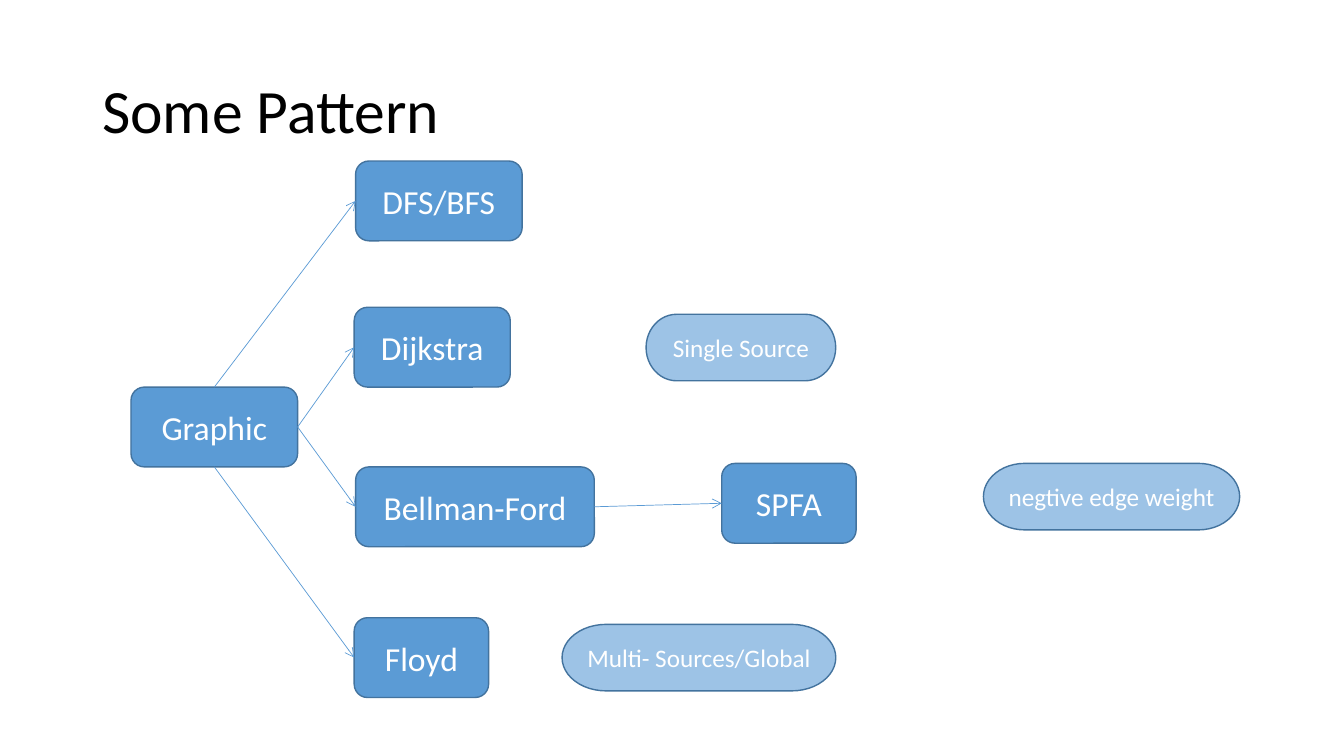
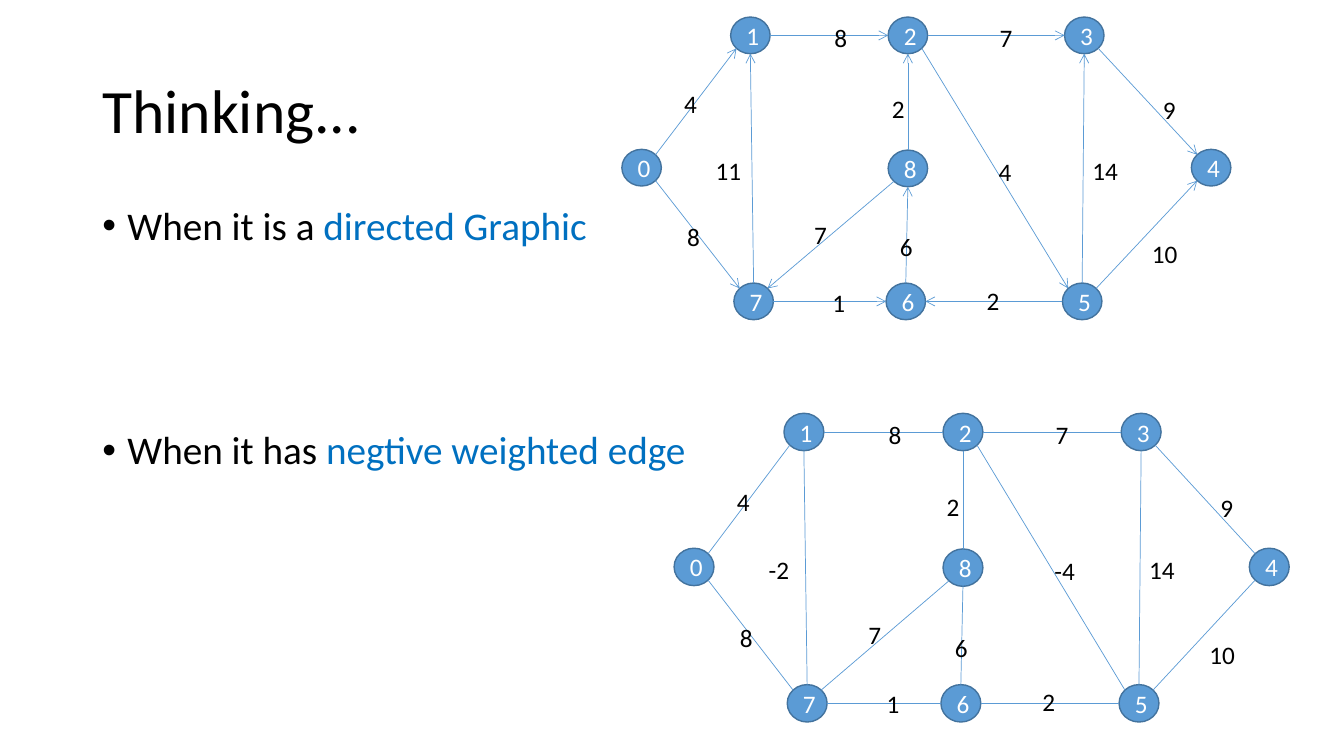
from dataclasses import dataclass
from math import sqrt

from lxml import etree
from pptx import Presentation
from pptx.dml.color import RGBColor
from pptx.enum.shapes import MSO_CONNECTOR, MSO_SHAPE
from pptx.enum.text import MSO_ANCHOR, PP_ALIGN
from pptx.oxml.ns import qn
from pptx.util import Pt


@dataclass(frozen=True)
class Theme:
    font: str = "Calibri"
    ink: str = "000000"
    white: str = "FFFFFF"
    blue: str = "5B9BD5"
    pale: str = "9DC3E6"
    outline: str = "43739E"
    accent: str = "0070C0"
    title: int = 44
    body: int = 28
    box: int = 24
    small: int = 18


T = Theme()
TITLE_BOX = (66, 28.8, 828, 104.4)


def add_text(s, text, box, kind=None, size=T.small, color=T.ink, fill=T.blue,
             anchor=MSO_ANCHOR.TOP, spacing=None):
    """Add a text box, or a filled shape of the given kind.

    text is a string, or a list of paragraphs made of (words, color) runs.
    """
    box = [Pt(v) for v in box]
    if kind is None:
        sp = s.shapes.add_textbox(*box)
    else:
        sp = s.shapes.add_shape(kind, *box)
        sp.shadow.inherit = False
        sp.fill.solid()
        sp.fill.fore_color.rgb = RGBColor.from_string(fill)
        sp.line.color.rgb = RGBColor.from_string(T.outline)
        sp.line.width = Pt(1)
        color, anchor = T.white, MSO_ANCHOR.MIDDLE
    tf = sp.text_frame
    tf.word_wrap = True
    tf.vertical_anchor = anchor
    paragraphs = [[(text, color)]] if isinstance(text, str) else text
    for i, runs in enumerate(paragraphs):
        p = tf.add_paragraph() if i else tf.paragraphs[0]
        p.alignment = PP_ALIGN.CENTER if kind else PP_ALIGN.LEFT
        p.line_spacing = spacing
        for words, run_color in runs:
            r = p.add_run()
            r.text = words
            r.font.name = T.font
            r.font.size = Pt(size)
            r.font.color.rgb = RGBColor.from_string(run_color)
    return sp


def add_line(s, start=(0, 0), end=(0, 0), arrow=True):
    points = [Pt(v) for v in (*start, *end)]
    line = s.shapes.add_connector(MSO_CONNECTOR.STRAIGHT, *points)
    line.line.color.rgb = RGBColor.from_string(T.blue)
    line.line.width = Pt(0.5)
    spPr = line.element.spPr
    if arrow:
        etree.SubElement(spPr.find(qn("a:ln")), qn("a:tailEnd"), type="arrow")
    etree.SubElement(spPr, qn("a:effectLst"))
    return line


prs = Presentation()
prs.slide_width, prs.slide_height = Pt(960), Pt(540)
slides = []
for title in ("Some Pattern", "Thinking..."):
    s = prs.slides.add_slide(prs.slide_layouts[6])
    add_text(s, title, TITLE_BOX, size=T.title, anchor=MSO_ANCHOR.MIDDLE, spacing=0.9)
    slides.append(s)
pattern, thinking = slides

# Slide 1: map of algorithms
ALGORITHMS = [  # name, left, top, width
    ("Graphic", 93.6, 276.5, 119),
    ("DFS/BFS", 254, 115, 119),
    ("Dijkstra", 253, 219.5, 111.5),
    ("Bellman-Ford", 254, 333.5, 170.5),
    ("Floyd", 253, 441.2, 96),
    ("SPFA", 515.5, 331, 96),
]
boxes = {}
for name, x, y, w in ALGORITHMS:
    boxes[name] = add_text(pattern, name, (x, y, w, 57), MSO_SHAPE.ROUNDED_RECTANGLE,
                           size=T.box)

TOP, LEFT, BOTTOM, RIGHT = range(4)
for source, side, target in [
    ("Graphic", TOP, "DFS/BFS"),
    ("Graphic", RIGHT, "Dijkstra"),
    ("Graphic", RIGHT, "Bellman-Ford"),
    ("Graphic", BOTTOM, "Floyd"),
    ("Bellman-Ford", RIGHT, "SPFA"),
]:
    line = add_line(pattern)
    line.begin_connect(boxes[source], side)
    line.end_connect(boxes[target], LEFT)

for note, x, y, w in [
    ("Single Source", 461.5, 224.5, 135.5),
    ("negtive edge weight", 702.5, 331, 183),
    ("Multi- Sources/Global", 401.5, 446, 195.5),
]:
    add_text(pattern, note, (x, y, w, 47.5), MSO_SHAPE.FLOWCHART_TERMINATOR, fill=T.pale)

# Slide 2: two cases, each with a weighted graph
cases = [
    [("When it is a ", T.ink), ("directed Graphic", T.accent)],
    [("When it has ", T.ink), ("negtive weighted edge", T.accent)],
]
sp = add_text(thinking, cases, (66, 144, 828, 342.5), size=T.body, spacing=0.9)
for p, gap in zip(sp.text_frame.paragraphs, (10, 130)):
    p.space_before = Pt(gap)
    pPr = p._p.get_or_add_pPr()
    pPr.set("marL", str(Pt(18)))
    pPr.set("indent", str(-Pt(18)))
    etree.SubElement(pPr, qn("a:buFont"), typeface="Arial")
    etree.SubElement(pPr, qn("a:buChar"), char="•")

NODE_W, NODE_H = 28.2, 26.2
NODES = {  # left and top within the graph
    "0": (0, 94.5), "1": (77.7, 0), "7": (80, 190), "2": (190.2, 0), "6": (188.7, 190),
    "3": (316.2, 0), "5": (314.7, 190), "8": (190.2, 95), "4": (406.8, 94.5),
}
D = 1 / sqrt(2)
COMPASS = {"N": (0, -1), "NE": (D, -D), "E": (1, 0), "SE": (D, D),
           "S": (0, 1), "SW": (-D, D), "W": (-1, 0), "NW": (-D, -D)}
EDGES = [  # from, side, to, side, weight, label left and top within the graph
    ("0", "NE", "1", "SW", "4", 37.4, 47.5),
    ("0", "SE", "7", "NW", "8", 39.6, 142.6),
    ("7", "N", "1", "S", "11", 59.8, 95),
    ("1", "E", "2", "W", "8", 144.7, 0.5),
    ("8", "SW", "7", "NE", "7", 130.3, 141),
    ("8", "N", "2", "S", "2", 185.8, 51),
    ("7", "E", "6", "W", "1", 143.3, 189.4),
    ("2", "SE", "5", "NW", "4", 262, 95.8),
    ("5", "W", "6", "E", "2", 253.4, 188),
    ("6", "N", "8", "S", "6", 191.5, 149.8),
    ("2", "E", "3", "W", "7", 262.8, 0.5),
    ("5", "N", "3", "S", "14", 329, 95),
    ("3", "SE", "4", "NW", "9", 379.4, 51.8),
    ("5", "NE", "4", "SW", "10", 371.5, 154.8),
]
NEGATIVE = {("7", "1"): "-2", ("2", "5"): "-4"}

for left, top, x_scale, y_scale, directed, changed in [
    (444.2, 12.2, 1, 1, True, {}),
    (481.5, 295.2, 1.01, 1.02, False, NEGATIVE),
]:
    w, h = NODE_W * x_scale, NODE_H * y_scale
    centers = {}
    for name, (x, y) in NODES.items():
        x, y = left + x * x_scale, top + y * y_scale
        centers[name] = (x + w / 2, y + h / 2)
        add_text(thinking, name, (x, y, w, h), MSO_SHAPE.OVAL)
    for a, a_side, b, b_side, weight, x, y in EDGES:
        start, end = [
            (centers[n][0] + COMPASS[side][0] * w / 2, centers[n][1] + COMPASS[side][1] * h / 2)
            for n, side in ((a, a_side), (b, b_side))
        ]
        add_line(thinking, start, end, directed)
        add_text(thinking, changed.get((a, b), weight),
                 (left + x * x_scale, top + y * y_scale, 40, 29))

prs.save("out.pptx")
